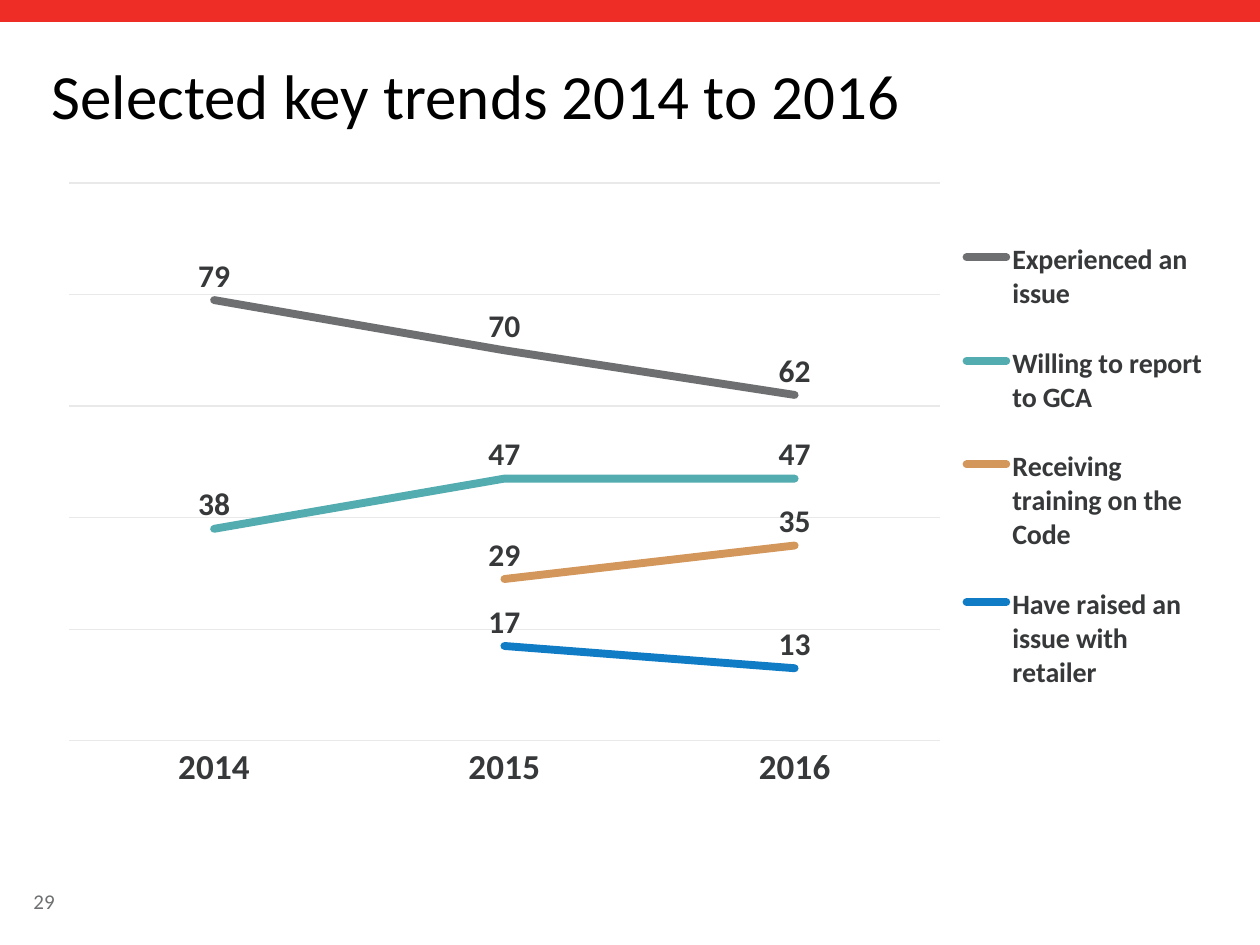
from dataclasses import dataclass
from typing import Optional

import pptx
import pptx.chart.data
import pptx.dml.color
import pptx.enum.chart
import pptx.enum.shapes
import pptx.enum.text
import pptx.oxml
import pptx.oxml.ns
import pptx.util

PX = 914400 / 126  # EMU in one px
FONT = "Calibri"
COLORS = {
    "band": "EE2D27",
    "title": "000000",
    "number": "6D6F71",
    "label": "363839",
    "grid": "E9E9EA",
    "grey": "6D6F71",
    "teal": "53ACAF",
    "sand": "D3975B",
    "blue": "117CC6",
}


@dataclass
class Box:
    left: int
    top: int
    width: int
    height: int

    def emu(self) -> list[pptx.util.Emu]:
        sides = (self.left, self.top, self.width, self.height)
        return [pptx.util.Emu(round(side * PX)) for side in sides]


@dataclass
class Trend:
    name: str
    values: tuple[Optional[int], ...]
    color: str


YEARS = ("2014", "2015", "2016")
TRENDS = (
    Trend("Experienced an issue", (79, 70, 62), "grey"),
    Trend("Willing to report to GCA", (38, 47, 47), "teal"),
    Trend("Receiving training on the Code", (None, 29, 35), "sand"),
    Trend("Have raised an issue with retailer", (None, 17, 13), "blue"),
)
CHART = Box(50, 163, 1171, 658)
PLOT = Box(69, 183, 871, 558)
LEGEND = Box(984, 208, 237, 518)


def rgb(color: str) -> pptx.dml.color.RGBColor:
    return pptx.dml.color.RGBColor.from_string(COLORS[color])


def style_font(font, size: int, color: str, bold: bool = False) -> None:
    font.name = FONT
    font.size = pptx.util.Pt(size)
    font.bold = bold
    font.color.rgb = rgb(color)


def style_line(line, color: str, width: float) -> None:
    line.color.rgb = rgb(color)
    line.width = pptx.util.Pt(width)


def write(shape, text: str, size: int, color: str, anchor) -> None:
    frame = shape.text_frame
    frame.text = text
    frame.word_wrap = True
    frame.auto_size = pptx.enum.text.MSO_AUTO_SIZE.NONE
    frame.vertical_anchor = anchor
    paragraph = frame.paragraphs[0]
    paragraph.alignment = pptx.enum.text.PP_ALIGN.LEFT
    style_font(paragraph.runs[0].font, size, color)


def manual_layout(part: Box, chart: Box, inner: bool = False):
    """Place a chart part by its share of the chart frame."""
    target = '<c:layoutTarget val="inner"/>' if inner else ""
    shares = {
        "x": (part.left - chart.left) / chart.width,
        "y": (part.top - chart.top) / chart.height,
        "w": part.width / chart.width,
        "h": part.height / chart.height,
    }
    sizes = "".join(f'<c:{key} val="{share:.4f}"/>'
                    for key, share in shares.items())
    return pptx.oxml.parse_xml(
        f'<c:layout {pptx.oxml.ns.nsdecls("c")}><c:manualLayout>{target}'
        f'<c:xMode val="edge"/><c:yMode val="edge"/>{sizes}'
        '</c:manualLayout></c:layout>')


def style_trend(series, trend: Trend) -> None:
    series.smooth = False
    series.marker.style = pptx.enum.chart.XL_MARKER_STYLE.NONE
    line = series.format.line
    style_line(line, trend.color, 4.5)
    line._get_or_add_ln().set("cap", "rnd")
    labels = series.data_labels
    labels.show_value = True
    labels.position = pptx.enum.chart.XL_LABEL_POSITION.ABOVE
    style_font(labels.font, 18, "label", True)


def add_trend_chart(slide, box: Box) -> None:
    data = pptx.chart.data.CategoryChartData()
    data.categories = YEARS
    for trend in TRENDS:
        data.add_series(trend.name, trend.values)
    chart = slide.shapes.add_chart(
        pptx.enum.chart.XL_CHART_TYPE.LINE, *box.emu(), data).chart
    chart.has_title = False
    style_font(chart.font, 10, "number")
    plot = chart.plots[0]
    plot.vary_by_categories = False
    for series, trend in zip(plot.series, TRENDS):
        style_trend(series, trend)

    # Axes
    years = chart.category_axis
    years.major_tick_mark = pptx.enum.chart.XL_TICK_MARK.NONE
    years.has_major_gridlines = False
    style_line(years.format.line, "grid", 0.75)
    style_font(years.tick_labels.font, 20, "label", True)
    percent = chart.value_axis
    percent.minimum_scale, percent.maximum_scale = 0, 100
    percent.major_unit = 20
    percent.has_major_gridlines = True
    style_line(percent.major_gridlines.format.line, "grid", 0.75)
    percent.visible = False

    # Legend and plot placement
    chart.has_legend = True
    legend = chart.legend
    legend.position = pptx.enum.chart.XL_LEGEND_POSITION.RIGHT
    legend.include_in_layout = False
    style_font(legend.font, 16, "label", True)
    legend_xml = legend._element
    plot_xml = chart._chartSpace.chart.plotArea
    for part in (legend_xml, plot_xml):
        for old in part.findall(pptx.oxml.ns.qn("c:layout")):
            part.remove(old)
    legend_xml.find(pptx.oxml.ns.qn("c:legendPos")).addnext(
        manual_layout(LEGEND, box))
    plot_xml.insert(0, manual_layout(PLOT, box, inner=True))


def main() -> None:
    deck = pptx.Presentation()
    deck.slide_width, deck.slide_height = Box(0, 0, 1260, 945).emu()[2:]
    slide = deck.slides.add_slide(deck.slide_layouts[5])
    anchors = pptx.enum.text.MSO_ANCHOR

    # Top band
    band = slide.shapes.add_shape(
        pptx.enum.shapes.MSO_SHAPE.RECTANGLE, *Box(0, 0, 1260, 22).emu())
    band.shadow.inherit = False
    band.fill.solid()
    band.fill.fore_color.rgb = rgb("band")
    band.line.fill.background()

    # Title
    title = slide.shapes.title
    title.left, title.top, title.width, title.height = Box(39, 42, 1182, 96).emu()
    write(title, "Selected key trends 2014 to 2016", 36, "title", anchors.BOTTOM)

    # Trends
    add_trend_chart(slide, CHART)

    # Slide number
    number = slide.shapes.add_textbox(*Box(21, 876, 284, 50).emu())
    write(number, "29", 12, "number", anchors.MIDDLE)

    deck.save("out.pptx")


if __name__ == "__main__":
    main()
